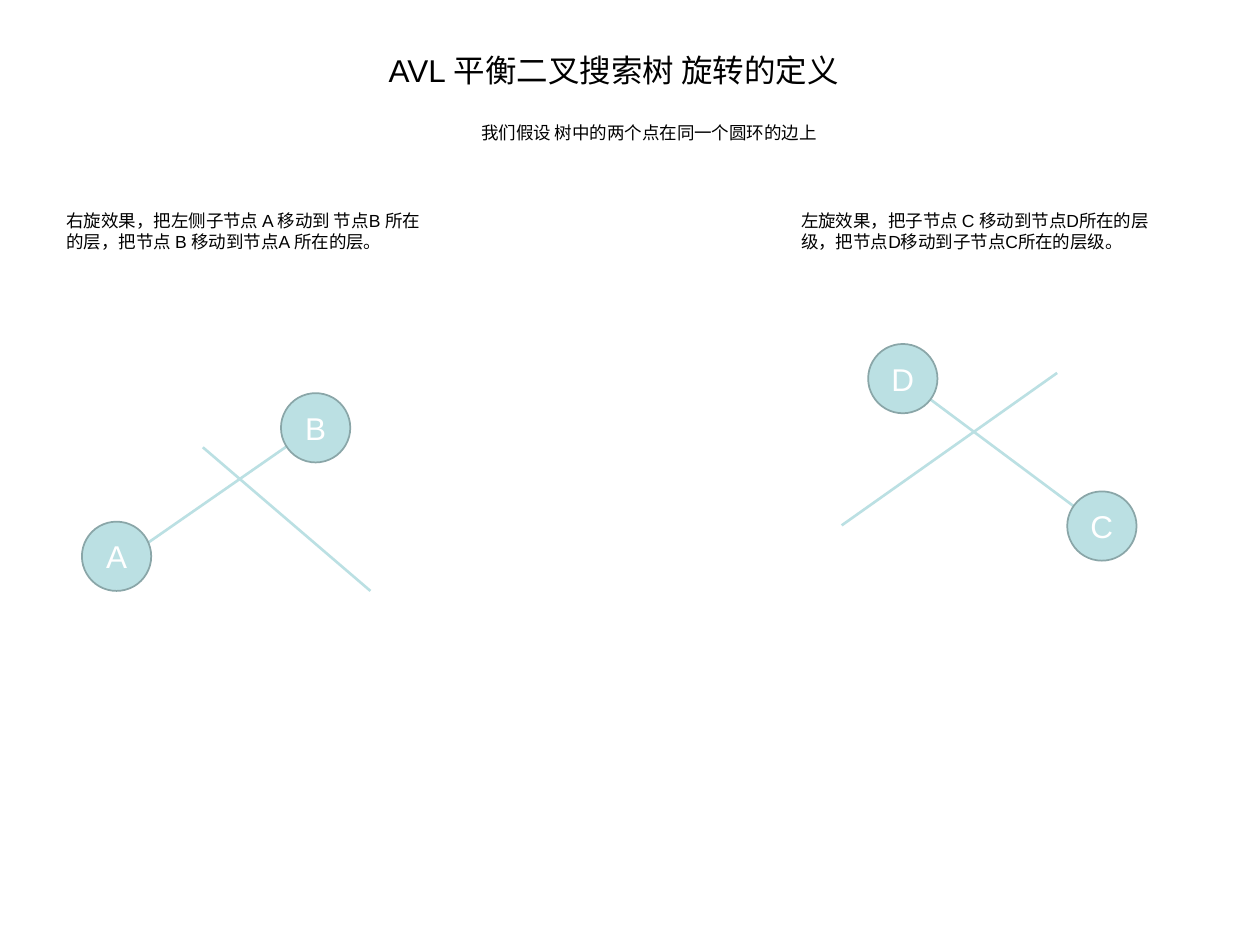
import pptx
import pptx.dml.color
import pptx.enum.shapes
import pptx.enum.text
import pptx.oxml.ns
import pptx.util
from lxml import etree
from pptx.util import Inches

FONT = "Arial"
BLACK, WHITE = "000000", "FFFFFF"
NODE_FILL, NODE_OUTLINE = "BBE0E3", "8AA6A8"
NODE_SIZE = 0.55


def color(hex_value):
    return pptx.dml.color.RGBColor.from_string(hex_value)


def write_text(shape, text, size, hex_value, centered):
    paragraph = shape.text_frame.paragraphs[0]
    paragraph.text = text
    alignments = pptx.enum.text.PP_ALIGN
    paragraph.alignment = alignments.CENTER if centered else alignments.LEFT
    for run in paragraph.runs:
        run.font.name = FONT
        run.font.size = pptx.util.Pt(size)
        run.font.color.rgb = color(hex_value)


def add_text(slide, left, top, width, height, text, size, centered=False):
    box = slide.shapes.add_textbox(Inches(left), Inches(top), Inches(width), Inches(height))
    box.text_frame.word_wrap = True
    if centered:
        box.text_frame.auto_size = pptx.enum.text.MSO_AUTO_SIZE.SHAPE_TO_FIT_TEXT
    write_text(box, text, size, BLACK, centered)


def add_line(slide, left, top, start, end):
    line = slide.shapes.add_connector(
        pptx.enum.shapes.MSO_CONNECTOR.STRAIGHT,
        Inches(left + start[0]), Inches(top + start[1]),
        Inches(left + end[0]), Inches(top + end[1]))
    line.line.color.rgb = color(NODE_FILL)
    line.line.width = pptx.util.Pt(1.5)
    etree.SubElement(line._element.spPr, pptx.oxml.ns.qn("a:effectLst"))


def add_node(slide, left, top, label):
    node = slide.shapes.add_shape(
        pptx.enum.shapes.MSO_SHAPE.OVAL,
        Inches(left), Inches(top), Inches(NODE_SIZE), Inches(NODE_SIZE))
    node.shadow.inherit = False
    node.fill.solid()
    node.fill.fore_color.rgb = color(NODE_FILL)
    node.line.color.rgb = color(NODE_OUTLINE)
    node.line.width = pptx.util.Pt(1)
    node.text_frame.vertical_anchor = pptx.enum.text.MSO_ANCHOR.MIDDLE
    write_text(node, label, 18, WHITE, True)


def add_heading(slide):
    add_text(slide, 1.61, 0.36, 6.52, 0.4, "AVL 平衡二叉搜索树 旋转的定义", 18, True)
    add_text(slide, 0.43, 0.92, 9.44, 0.27, "我们假设 树中的两个点在同一个圆环的边上", 10, True)


def add_rotation(slide, left, top, caption, edge, crossing, nodes):
    """Place a caption, two crossing lines and labelled nodes, offset from left and top."""
    add_text(slide, left, top, 3.06, 0.6, caption, 10)
    for start, end in (edge, crossing):
        add_line(slide, left, top, start, end)
    for label, x, y in nodes:
        add_node(slide, left + x, top + y, label)


def main():
    presentation = pptx.Presentation()
    presentation.slide_width = Inches(10)
    presentation.slide_height = Inches(7.5)
    slide = presentation.slides.add_slide(presentation.slide_layouts[6])
    add_heading(slide)
    add_rotation(
        slide, 0.43, 1.62,
        "右旋效果，把左侧子节点 A 移动到 节点B 所在的层，把节点 B 移动到节点A 所在的层。",
        edge=((2.08, 1.76), (0.54, 2.83)),
        crossing=((1.18, 1.93), (2.51, 3.07)),
        nodes=(("B", 1.8, 1.5), ("A", 0.22, 2.52)))
    add_rotation(
        slide, 6.26, 1.62,
        "左旋效果，把子节点 C 移动到节点D所在的层级，把节点D移动到子节点C所在的层级。",
        edge=((0.95, 1.42), (2.56, 2.62)),
        crossing=((0.42, 2.55), (2.13, 1.34)),
        nodes=(("D", 0.63, 1.11), ("C", 2.21, 2.28)))
    presentation.save("out.pptx")


if __name__ == "__main__":
    main()
